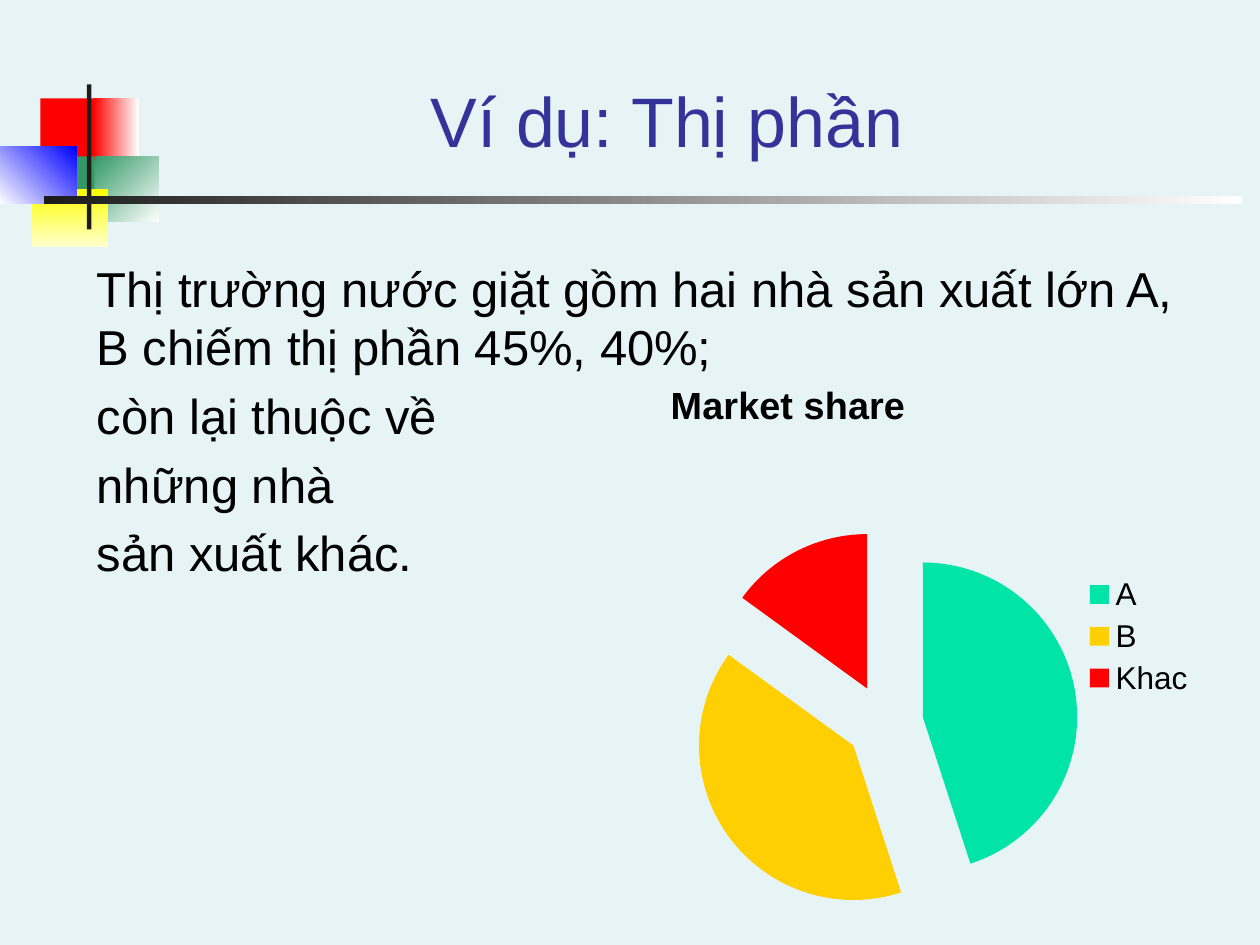
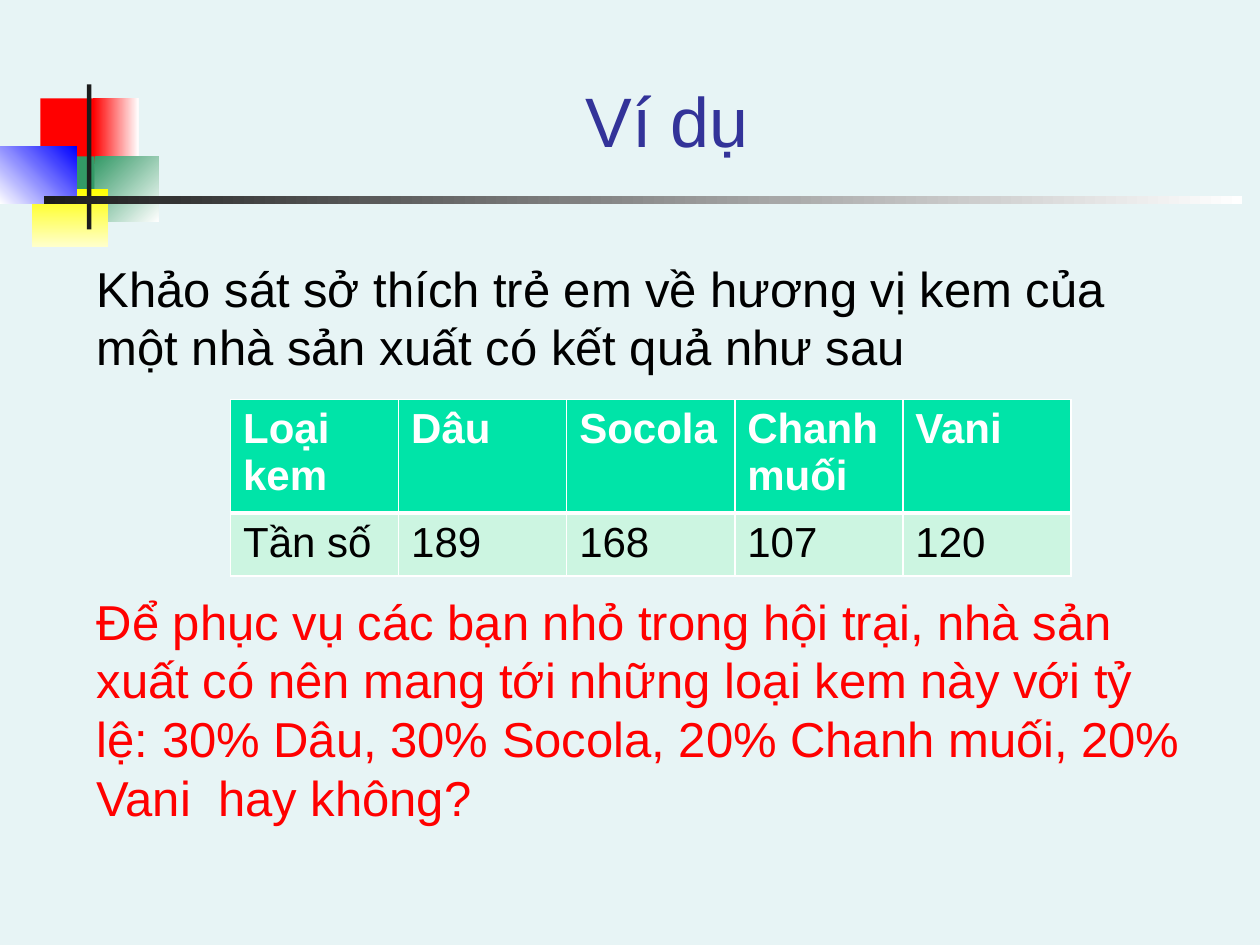
from lxml.etree import SubElement
from pptx import Presentation
from pptx.chart.data import CategoryChartData
from pptx.dml.color import RGBColor
from pptx.enum.chart import XL_CHART_TYPE, XL_LEGEND_POSITION
from pptx.enum.shapes import MSO_SHAPE
from pptx.enum.text import MSO_ANCHOR, PP_ALIGN
from pptx.oxml.ns import qn
from pptx.util import Inches, Pt

COLORS = {
    "background": "E7F4F5", "title": "333399", "text": "000000",
    "white": "FFFFFF", "dark": "1C1C1C", "red": "FF0000",
    "green": "339966", "yellow": "FFFF00", "cream": "FFFFCC",
    "blue": "0000FF", "mint": "00E4A8", "gold": "FFCF01",
    "pale_mint": "CCF5E1",
}
RGB = {name: RGBColor.from_string(value) for name, value in COLORS.items()}
FONT = "Arial"

prs = Presentation()
prs.slide_width, prs.slide_height = Inches(10), Inches(7.5)
COL, ROW = prs.slide_width / 100, prs.slide_height / 75


def grid(left, top, width, height):
    """Turn columns (of 100) and rows (of 75) into slide lengths."""
    return [round(n * unit) for n, unit in
            zip((left, top, width, height), (COL, ROW, COL, ROW))]


def write(tf, *lines, size=28, color="text", bold=False, align=PP_ALIGN.LEFT,
          anchor=MSO_ANCHOR.TOP, before=0):
    """Fill a text frame; a line is a string or (string, colour, space before)."""
    tf.word_wrap = True
    tf.vertical_anchor = anchor
    for i, line in enumerate(lines):
        text, shade, gap = (line, color, before) if isinstance(line, str) else line
        p = tf.paragraphs[0] if i == 0 else tf.add_paragraph()
        p.alignment, p.space_before = align, Pt(gap)
        r = p.add_run()
        r.text = text
        r.font.name, r.font.size, r.font.bold = FONT, Pt(size), bold
        r.font.color.rgb = RGB[shade]


# Shared by both slides: place on the grid, colours, clockwise gradient angle
ORNAMENT = [
    ((3.2, 7.8, 4.8, 5.2), ["red"], 0),
    ((7.4, 7.8, 3.6, 5.2), ["red", "white"], 0),
    ((7.5, 12.4, 5.1, 5.2), ["green", "white"], 45),
    ((4.3, 12.4, 3.2, 5.2), ["green"], 0),
    ((2.5, 15, 6.1, 4.6), ["yellow", "cream"], 90),
    ((0, 11.6, 6.1, 4.6), ["white", "blue"], 315),
    ((6.9, 6.7, 0.35, 11.5), ["dark"], 0),
    ((3.5, 15.6, 95.1, 0.6), ["dark", "white"], 0),
]
SLIDES = [
    ("Ví dụ: Thị phần", [
        "Thị trường nước giặt gồm hai nhà sản xuất lớn A, B chiếm thị phần 45%, 40%;",
        "còn lại thuộc về",
        "những nhà",
        "sản xuất khác.",
    ]),
    ("Ví dụ", [
        "Khảo sát sở thích trẻ em về hương vị kem của một nhà sản xuất có kết quả như sau",
        ("Để phục vụ các bạn nhỏ trong hội trại, nhà sản xuất có nên mang tới "
         "những loại kem này với tỷ lệ: 30% Dâu, 30% Socola, 20% Chanh muối, "
         "20% Vani  hay không?", "red", 123),
    ]),
]

fill = prs.slide_master.background.fill
fill.solid()
fill.fore_color.rgb = RGB["background"]

for title, body in SLIDES:
    s = prs.slides.add_slide(prs.slide_layouts[6])
    for place, shades, angle in ORNAMENT:
        sp = s.shapes.add_shape(MSO_SHAPE.RECTANGLE, *grid(*place))
        sp.shadow.inherit = False
        sp.line.fill.background()
        if len(shades) == 1:
            sp.fill.solid()
            sp.fill.fore_color.rgb = RGB[shades[0]]
        else:
            sp.fill.gradient()
            sp.fill.gradient_angle = -angle % 360
            for stop, shade, position in zip(sp.fill.gradient_stops, shades, (0, 1)):
                stop.color.rgb = RGB[shade]
                stop.position = position
    write(s.shapes.add_textbox(*grid(12.6, 2.5, 80.7, 10.8)).text_frame, title,
          size=40, color="title", align=PP_ALIGN.CENTER, anchor=MSO_ANCHOR.BOTTOM)
    write(s.shapes.add_textbox(*grid(6.7, 20, 88.3, 49.6)).text_frame, *body,
          before=5.6)

share_slide, survey_slide = prs.slides

# Market share pie
data = CategoryChartData()
data.categories = ["A", "B", "Khac"]
data.add_series("Market share", (45, 40, 15))
chart = share_slide.shapes.add_chart(
    XL_CHART_TYPE.PIE_EXPLODED, *grid(29.2, 28.3, 66.7, 44.4), data).chart
chart.font.name, chart.font.size = FONT, Pt(18)
chart.font.color.rgb = RGB["text"]
chart.has_title = True
write(chart.chart_title.text_frame, "Market share", size=21.6, bold=True,
      align=PP_ALIGN.CENTER)
chart.has_legend = True
chart.legend.position = XL_LEGEND_POSITION.RIGHT
chart.legend.include_in_layout = False
pie = chart.plots[0]
pie.vary_by_categories = True
for i, shade in enumerate(["mint", "gold", "red"]):
    point = pie.series[0].points[i].format
    point.fill.solid()
    point.fill.fore_color.rgb = RGB[shade]
    point.line.fill.background()

plot_area = chart._chartSpace.chart.plotArea
for old in plot_area.findall(qn("c:layout")):
    plot_area.remove(old)
layout = SubElement(plot_area, qn("c:layout"))
plot_area.insert(0, layout)
manual = SubElement(layout, qn("c:manualLayout"))
for tag, val in [("layoutTarget", "inner"), ("xMode", "edge"), ("yMode", "edge"),
                 ("x", 0.28), ("y", 0.31), ("w", 0.67), ("h", 0.69)]:
    SubElement(manual, qn(f"c:{tag}")).set("val", str(val))

# Ice cream survey table
ROWS = [
    ["Loại kem", "Dâu", "Socola", "Chanh muối", "Vani"],
    ["Tần số", "189", "168", "107", "120"],
]
ROW_STYLES = [
    ("mint", {"color": "white", "bold": True}, {"L": 1, "R": 1, "T": 1, "B": 3}),
    ("pale_mint", {}, {"L": 1, "R": 1, "T": 3, "B": 1}),
]
table = survey_slide.shapes.add_table(
    len(ROWS), len(ROWS[0]), *grid(18.3, 31.7, 66.7, 8.2)).table
for y, (texts, (shade, style, borders)) in enumerate(zip(ROWS, ROW_STYLES)):
    for x, text in enumerate(texts):
        cell = table.cell(y, x)
        write(cell.text_frame, text, size=24, **style)
        tcPr = cell._tc.get_or_add_tcPr()
        for side, width in borders.items():
            ln = SubElement(tcPr, qn(f"a:ln{side}"), w=str(Pt(width)))
            solid = SubElement(ln, qn("a:solidFill"))
            SubElement(solid, qn("a:srgbClr"), val=COLORS["white"])
        cell.fill.solid()
        cell.fill.fore_color.rgb = RGB[shade]

prs.save("out.pptx")
